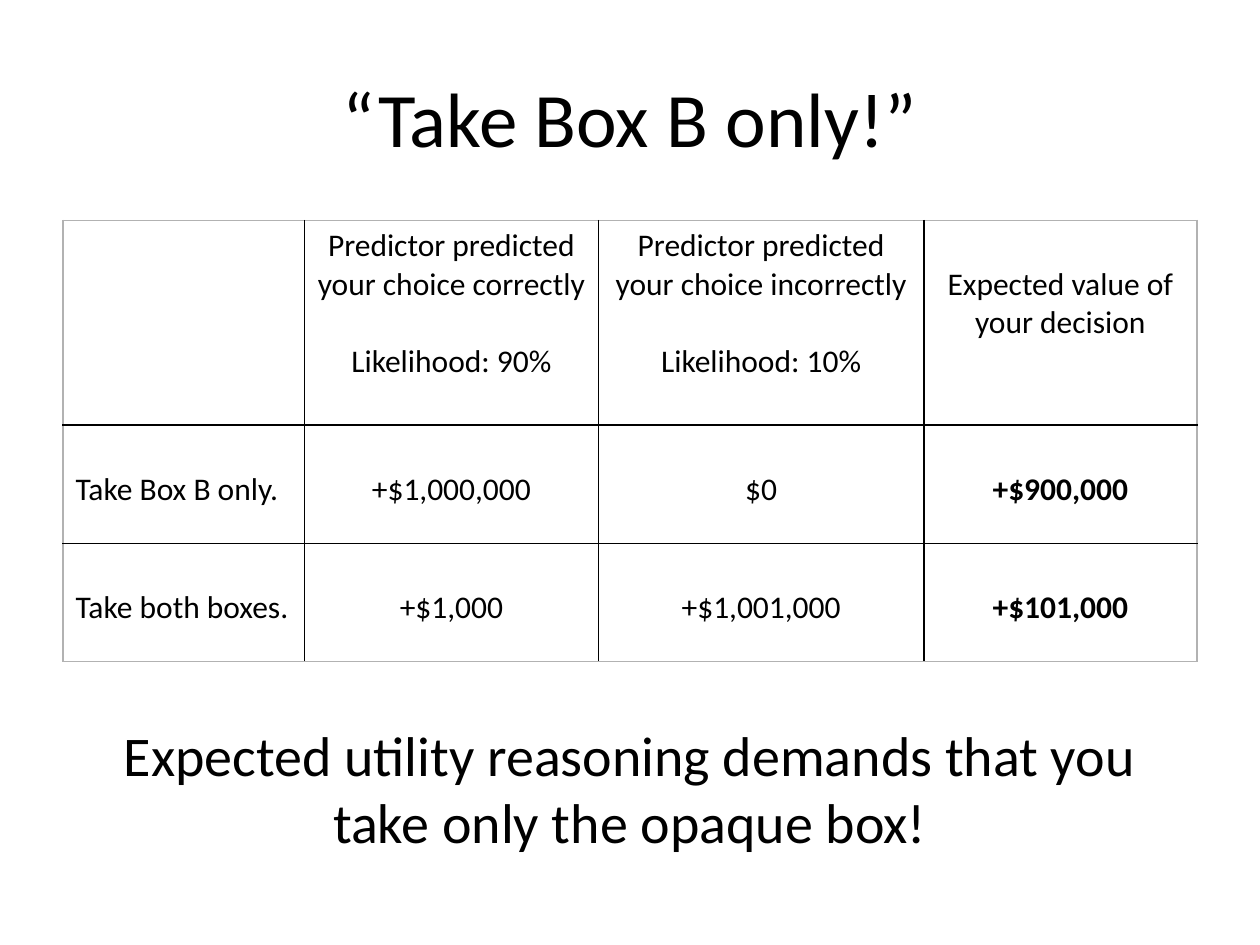
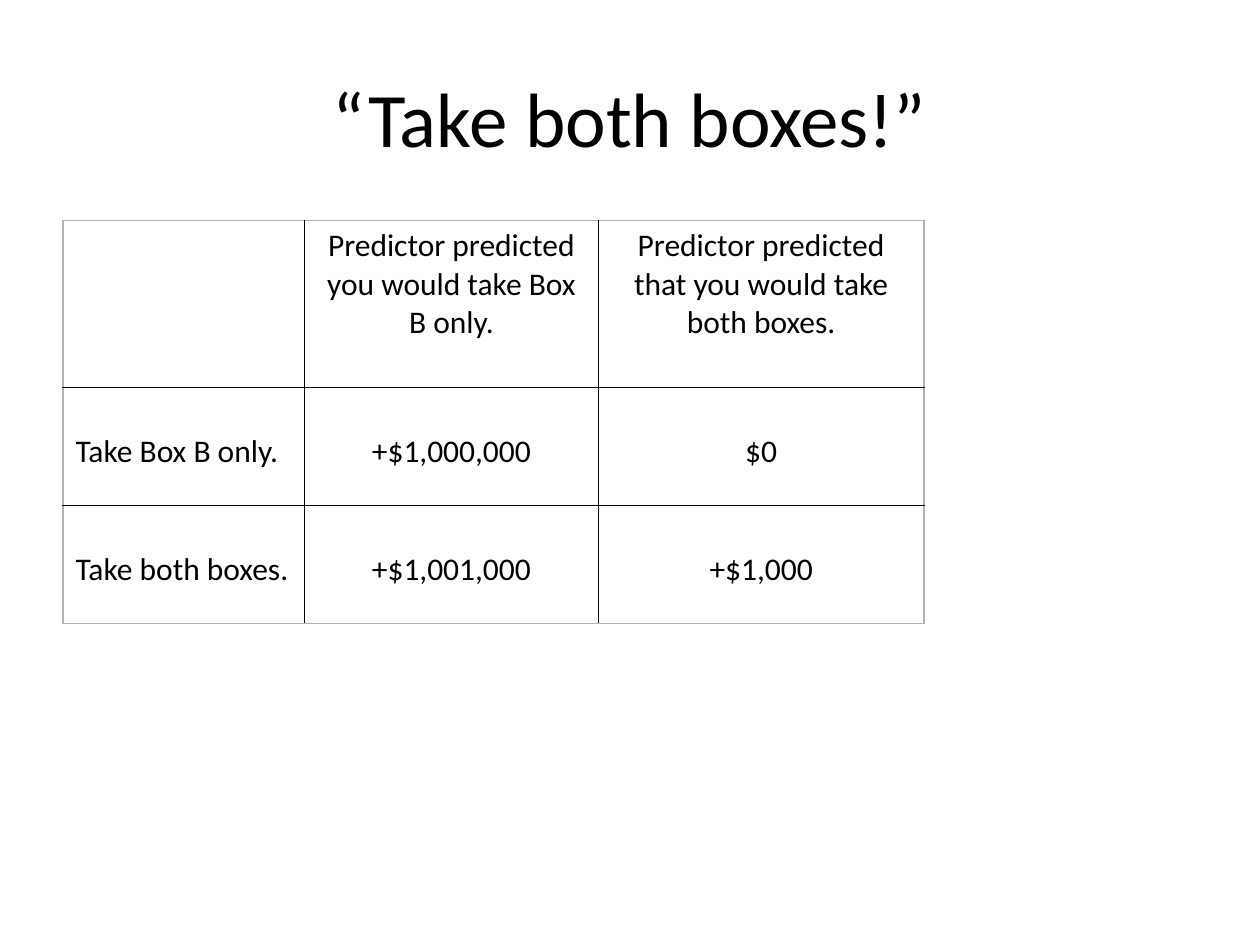
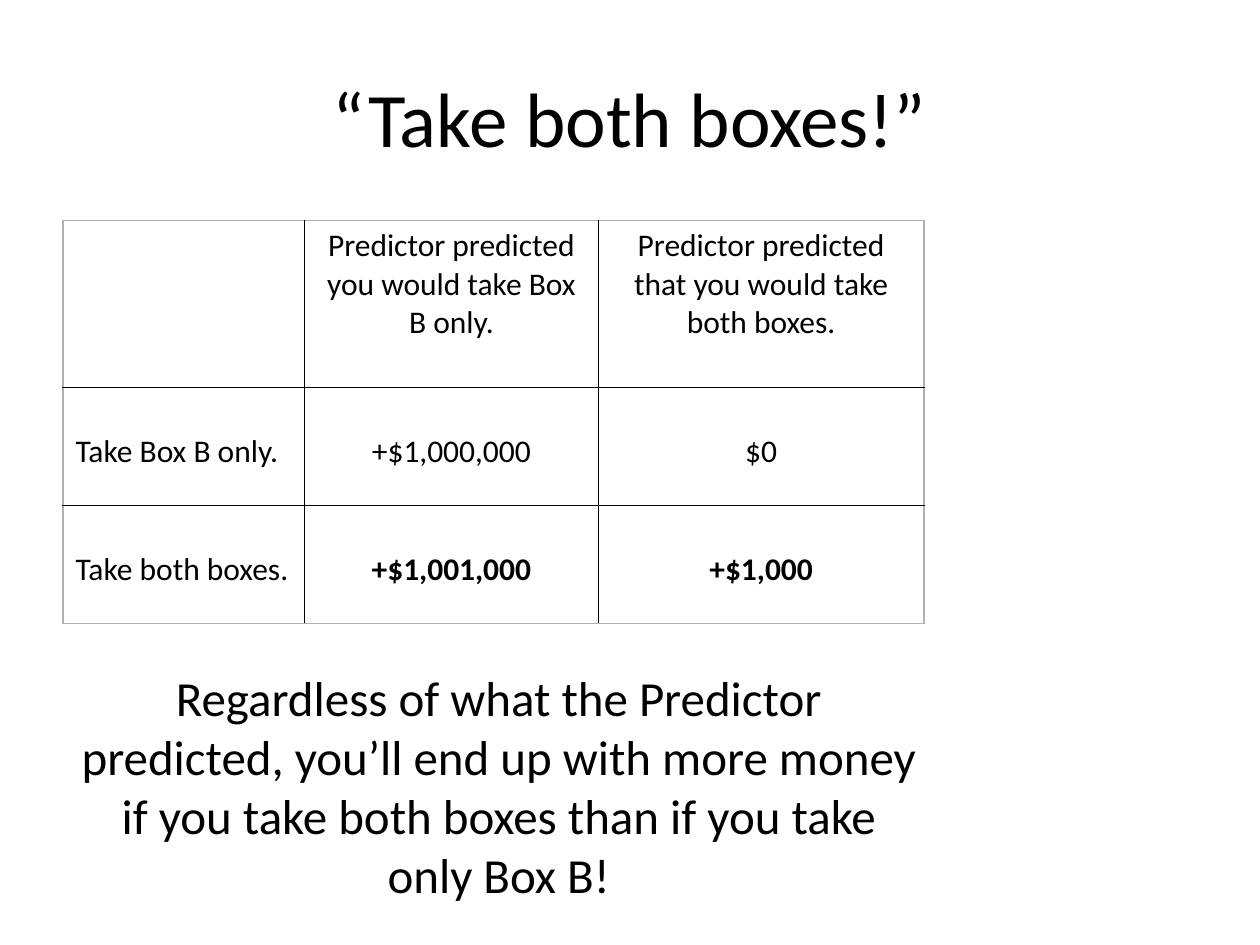
import dataclasses

import lxml.etree
import pptx
import pptx.dml.color
import pptx.enum.text
import pptx.oxml.ns
import pptx.util

ALIGN = pptx.enum.text.PP_ALIGN
ANCHOR = pptx.enum.text.MSO_ANCHOR


@dataclasses.dataclass(frozen=True)
class Theme:
    """Colours, type and the 120 by 90 grid shared by the slides."""
    font: str = "Calibri"
    ink: str = "000000"
    paper: str = "FFFFFF"
    frame: str = "B2B2B2"
    title_size: int = 44
    cell_size: int = 18
    line_pitch: int = 22
    rule_width: int = 1
    unit: int = pptx.util.Inches(10) // 120
    margin: int = 6
    table_top: int = 21
    column_units: tuple = (23, 28, 31, 26)
    choice_row_units: float = 11.25


THEME = Theme()
LEAD_LINE = pptx.util.Inches(0.05) + pptx.util.Pt(THEME.line_pitch)
BOX_PREDICTIONS = [
    "",
    "Predictor predicted you would take Box B only.",
    "Predictor predicted that you would take both boxes.",
]
BOX_PAYOFFS = [
    BOX_PREDICTIONS,
    ["Take Box B only.", "+$1,000,000", "$0"],
    ["Take both boxes.", "+$1,001,000", "+$1,000"],
]
ACCURACY_PAYOFFS = [
    ["", "Predictor predicted your choice correctly\nLikelihood: 90%",
     "Predictor predicted your choice incorrectly\nLikelihood: 10%",
     "Expected value of your decision"],
    ["Take Box B only.", "+$1,000,000", "$0", "+$900,000"],
    ["Take both boxes.", "+$1,000", "+$1,001,000", "+$101,000"],
]


def grid(count):
    """Return the length of a number of grid units."""
    return pptx.util.Emu(round(count * THEME.unit))


def write(frame, text, size, align=ALIGN.CENTER, bold=False):
    """Write one paragraph per line, set one line apart."""
    for index, line in enumerate(text.split("\n")):
        para = frame.add_paragraph() if index else frame.paragraphs[0]
        para.alignment = align
        if index:
            para.space_before = pptx.util.Pt(THEME.line_pitch)
        span = para.add_run()
        span.text = line
        span.font.name = THEME.font
        span.font.size = pptx.util.Pt(size)
        span.font.bold = bold
        span.font.color.rgb = pptx.dml.color.RGBColor.from_string(THEME.ink)


def add_text(page, text, size, area, anchor=ANCHOR.TOP):
    """Add a wrapped, centred text box on an area of the grid."""
    box = page.shapes.add_textbox(*map(grid, area))
    box.text_frame.word_wrap = True
    box.text_frame.vertical_anchor = anchor
    write(box.text_frame, text, size)


def add_border(cell, side, colour):
    """Draw a solid line on one side of a cell."""
    qn = pptx.oxml.ns.qn
    properties = cell._tc.get_or_add_tcPr()
    line = lxml.etree.SubElement(properties, qn(f"a:ln{side}"))
    line.set("w", str(pptx.util.Pt(THEME.rule_width)))
    fill = lxml.etree.SubElement(line, qn("a:solidFill"))
    lxml.etree.SubElement(fill, qn("a:srgbClr")).set("val", colour)


def add_payoffs(page, rows, header_units, is_bold):
    """Add a payoff table with a grey frame and black inner rules."""
    widths = THEME.column_units[:len(rows[0])]
    heights = [header_units] + [THEME.choice_row_units] * (len(rows) - 1)
    table = page.shapes.add_table(
        len(rows), len(widths), grid(THEME.margin), grid(THEME.table_top),
        grid(sum(widths)), grid(sum(heights))).table
    table.first_row = table.horz_banding = False
    for column, width in zip(table.columns, widths):
        column.width = grid(width)
    last_row, last_column = len(rows) - 1, len(widths) - 1
    for r, (row, height) in enumerate(zip(rows, heights)):
        table.rows[r].height = grid(height)
        for c, text in enumerate(row):
            cell = table.cell(r, c)
            outer = {"L": c == 0, "R": c == last_column,
                     "T": r == 0, "B": r == last_row}
            for side, on_frame in outer.items():
                add_border(cell, side, THEME.frame if on_frame else THEME.ink)
            cell.fill.solid()
            cell.fill.fore_color.rgb = pptx.dml.color.RGBColor.from_string(THEME.paper)
            if r or c == 3:
                cell.margin_top = LEAD_LINE
            if text:
                align = ALIGN.CENTER if c else ALIGN.LEFT
                write(cell.text_frame, text, THEME.cell_size, align, is_bold(r, c))


def add_page(deck, title):
    """Add a blank page with its title."""
    page = deck.slides.add_slide(deck.slide_layouts[6])
    add_text(page, title, THEME.title_size, (THEME.margin, 3.6, 108, 15), ANCHOR.MIDDLE)
    return page


def main():
    """Build the three slides and save them."""
    deck = pptx.Presentation()
    deck.slide_width, deck.slide_height = grid(120), grid(90)

    page = add_page(deck, "“Take Box B only!”")
    add_payoffs(page, ACCURACY_PAYOFFS, 19.5, lambda r, c: r > 0 and c == 3)
    add_text(page, "Expected utility reasoning demands that you take only the opaque box!",
             32, (THEME.margin, 68, 108, 14.2))

    page = add_page(deck, "“Take both boxes!”")
    add_payoffs(page, BOX_PAYOFFS, 15.9, lambda r, c: False)

    page = add_page(deck, "“Take both boxes!”")
    add_payoffs(page, BOX_PAYOFFS, 15.9, lambda r, c: r == 2 and c > 0)
    add_text(page, "Regardless of what the Predictor predicted, you’ll end up with more money "
             "if you take both boxes than if you take only Box B!",
             28, (THEME.margin, 63, 83, 23.9))

    deck.save("out.pptx")


if __name__ == "__main__":
    main()
